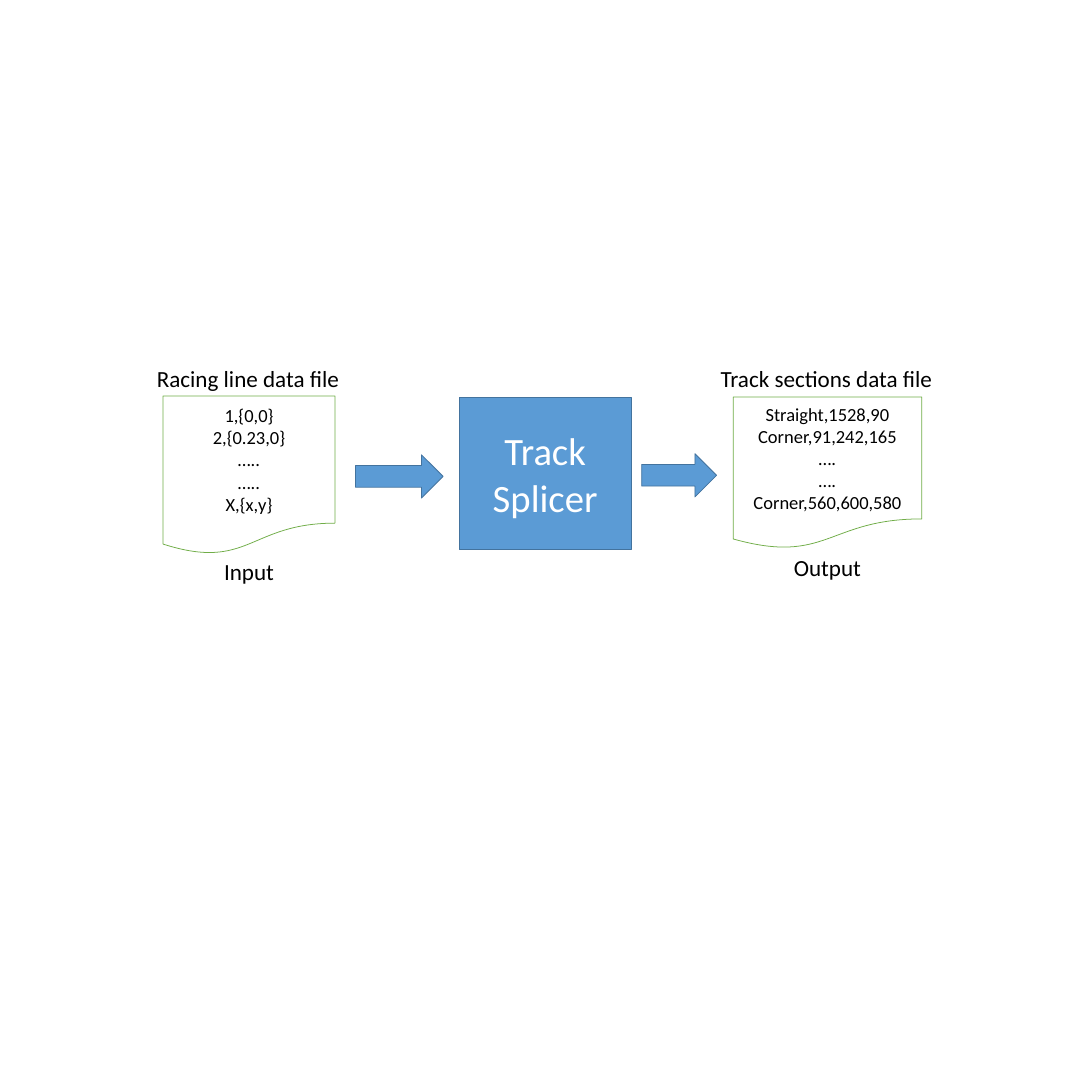
from pptx import Presentation
from pptx.dml.color import RGBColor
from pptx.enum.shapes import MSO_SHAPE
from pptx.enum.text import MSO_ANCHOR, MSO_AUTO_SIZE, PP_ALIGN
from pptx.util import Inches, Pt

COLORS = {
    "blue": "5B9BD5",
    "blue_line": "43739E",
    "green_line": "70AD47",
    "white": "FFFFFF",
    "black": "000000",
}
FONT = "Calibri"
LABEL_HEIGHT = 0.61
TITLE_TOP = 6.53


def write_text(shape, text, size, color, alignment=PP_ALIGN.CENTER, wrap=True):
    """Fill a shape with text, one paragraph per line."""
    frame = shape.text_frame
    frame.text = text
    frame.word_wrap = wrap
    for paragraph in frame.paragraphs:
        paragraph.alignment = alignment
        for run in paragraph.runs:
            run.font.name = FONT
            run.font.size = Pt(size)
            run.font.color.rgb = RGBColor.from_string(COLORS[color])


def add_block(slide, preset, box, fill, line):
    """Add a preset shape with a flat fill and a thin outline."""
    shape = slide.shapes.add_shape(preset, *map(Inches, box))
    shape.shadow.inherit = False
    shape.fill.solid()
    shape.fill.fore_color.rgb = RGBColor.from_string(COLORS[fill])
    shape.line.color.rgb = RGBColor.from_string(COLORS[line])
    shape.line.width = Pt(1)
    shape.text_frame.vertical_anchor = MSO_ANCHOR.MIDDLE
    return shape


def add_label(slide, box, text, alignment=PP_ALIGN.CENTER, wrap=True):
    """Add a label without fill or outline that grows with its text."""
    label = slide.shapes.add_textbox(*map(Inches, box))
    write_text(label, text, 30, "black", alignment, wrap)
    label.text_frame.auto_size = MSO_AUTO_SIZE.SHAPE_TO_FIT_TEXT


def add_data_file(slide, box, title, title_width, rows, caption, caption_gap=0):
    """Draw a data file with its title centred above and its role below."""
    left, top, width, height = box
    document = add_block(slide, MSO_SHAPE.FLOWCHART_DOCUMENT, box, "white", "green_line")
    write_text(document, "\n".join(rows), 24, "black")
    title_left = left + (width - title_width) / 2
    title_box = (title_left, TITLE_TOP, title_width, LABEL_HEIGHT)
    add_label(slide, title_box, title, PP_ALIGN.LEFT, wrap=False)
    caption_top = top + height + caption_gap
    add_label(slide, (left, caption_top, width, LABEL_HEIGHT), caption)


def add_process(slide, box, text):
    """Draw the central processing step."""
    process = add_block(slide, MSO_SHAPE.RECTANGLE, box, "blue", "blue_line")
    write_text(process, text, 50.2, "white")


def add_flow_arrow(slide, box):
    """Draw a block arrow pointing to the next step."""
    add_block(slide, MSO_SHAPE.RIGHT_ARROW, box, "blue", "blue_line")


def main():
    """Build the track splicer slide and save it."""
    presentation = Presentation()
    presentation.slide_width = presentation.slide_height = Inches(19.69)
    slide = presentation.slides.add_slide(presentation.slide_layouts[6])

    add_process(slide, (8.28, 7.17, 3.1, 2.74), "Track Splicer")
    add_data_file(
        slide, (2.94, 7.14, 3.1, 2.86), "Racing line data file", 3.52,
        ["1,{0,0}", "2,{0.23,0}", "…..", "…..", "X,{x,y}"], "Input",
    )
    add_data_file(
        slide, (13.22, 7.16, 3.4, 2.74), "Track sections data file", 4.05,
        ["Straight,1528,90", "Corner,91,242,165", "….", "….", "Corner,560,600,580"],
        "Output", caption_gap=0.03,
    )
    add_flow_arrow(slide, (6.41, 8.2, 1.58, 0.78))
    add_flow_arrow(slide, (11.57, 8.18, 1.35, 0.78))

    presentation.save("out.pptx")


if __name__ == "__main__":
    main()
